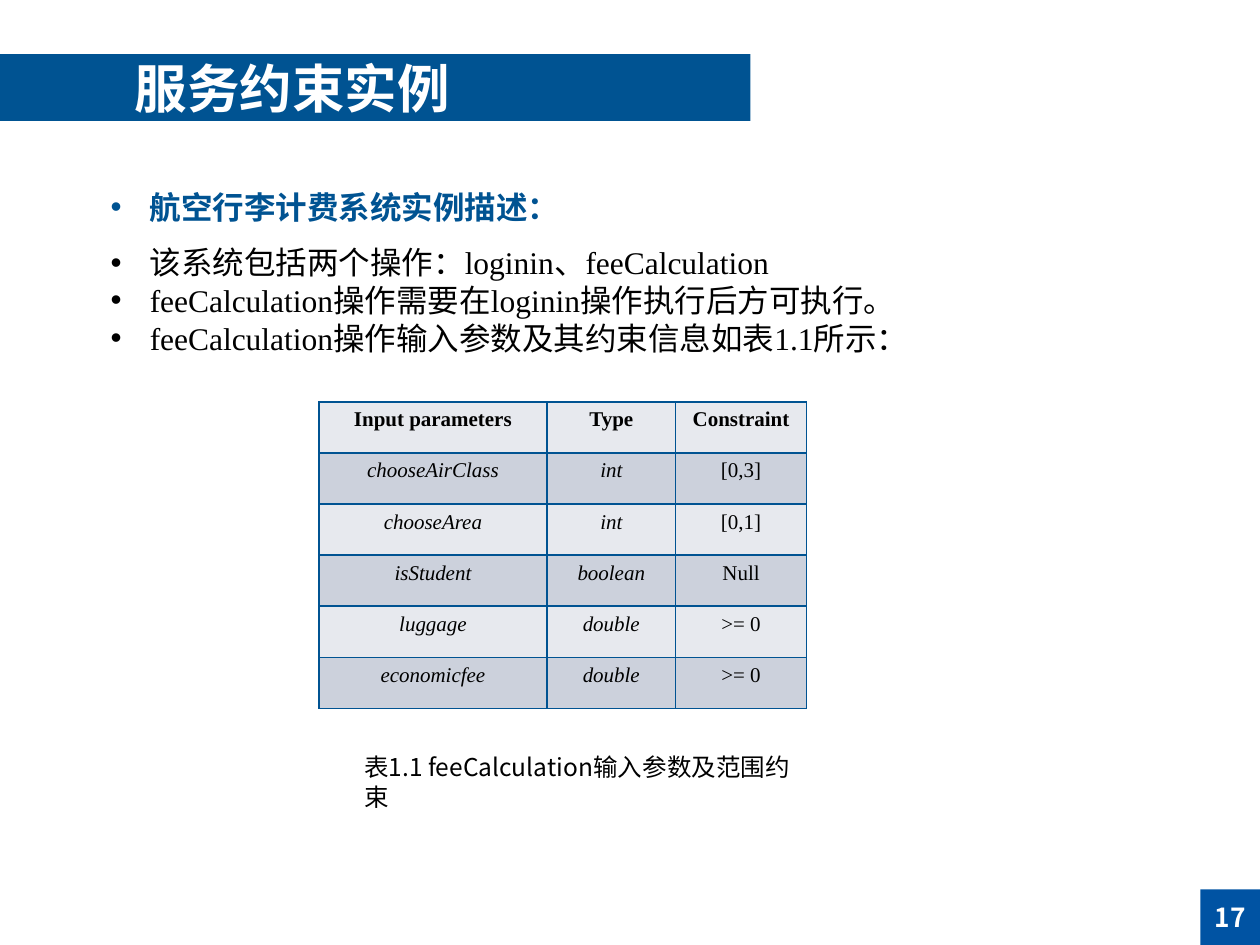
from lxml import etree
from pptx import Presentation
from pptx.dml.color import RGBColor
from pptx.enum.shapes import MSO_SHAPE
from pptx.enum.text import MSO_ANCHOR, PP_ALIGN
from pptx.oxml.ns import qn
from pptx.util import Cm, Pt

SANS, SERIF = "Noto Sans CJK SC", "Times New Roman"
BLUE, BADGE_BLUE, WHITE, BLACK = "005392", "0053A3", "FFFFFF", "000000"
ROW_FILLS = ["E7E9EE", "CCD1DC"]

TITLE = "服务约束实例"
PAGE_NUMBER = "17"
HEADING = "航空行李计费系统实例描述："
BULLETS = [
    [("该系统包括两个操作", SANS), ("：loginin、feeCalculation", SERIF)],
    [("feeCalculation操作需要在loginin操作执行后方可执行。", SERIF)],
    [("feeCalculation操作输入参数及其约束信息如表1.1所示：", SERIF)],
]
PARAMETERS = [
    ("Input parameters", "Type", "Constraint"),
    ("chooseAirClass", "int", "[0,3]"),
    ("chooseArea", "int", "[0,1]"),
    ("isStudent", "boolean", "Null"),
    ("luggage", "double", ">= 0"),
    ("economicfee", "double", ">= 0"),
]
COLUMN_WIDTHS = [4.6, 2.59, 2.64]
ROW_HEIGHT = 1.03
CAPTION = "表1.1 feeCalculation输入参数及范围约束"


def color(value):
    return RGBColor.from_string(value)


def add_run(paragraph, text, size, font=SANS, ink=BLACK, bold=False, italic=False):
    run = paragraph.add_run()
    run.text = text
    run.font.size, run.font.name = Pt(size), font
    run.font.bold, run.font.italic = bold, italic
    run.font.color.rgb = color(ink)
    latin = run.font._element.find(qn("a:latin"))
    east_asian = etree.Element(qn("a:ea"), typeface=SANS)
    latin.addnext(east_asian)


def add_bullet(paragraph):
    properties = paragraph._p.get_or_add_pPr()
    properties.set("marL", str(Cm(0.79)))
    properties.set("indent", str(-Cm(0.79)))
    etree.SubElement(properties, qn("a:buFont"), typeface="Arial")
    etree.SubElement(properties, qn("a:buChar"), char="•")


def add_block(slide, left, top, width, height, fill):
    block = slide.shapes.add_shape(
        MSO_SHAPE.RECTANGLE, Cm(left), Cm(top), Cm(width), Cm(height))
    block.shadow.inherit = False
    block.fill.solid()
    block.fill.fore_color.rgb = color(fill)
    block.line.fill.background()
    block.text_frame.vertical_anchor = MSO_ANCHOR.MIDDLE
    return block.text_frame


def add_text(slide, left, top, width, height, wrap=True):
    frame = slide.shapes.add_textbox(Cm(left), Cm(top), Cm(width), Cm(height)).text_frame
    frame.word_wrap = wrap
    return frame


def add_borders(cell):
    properties = cell._tc.get_or_add_tcPr()
    for index, side in enumerate(("lnL", "lnR", "lnT", "lnB")):
        line = etree.Element(qn(f"a:{side}"), w=str(Pt(1)))
        fill = etree.SubElement(line, qn("a:solidFill"))
        etree.SubElement(fill, qn("a:srgbClr"), val=BLUE)
        properties.insert(index, line)


def add_parameter_table(slide):
    table = slide.shapes.add_table(
        len(PARAMETERS), len(COLUMN_WIDTHS), Cm(6.43), Cm(8.1),
        Cm(sum(COLUMN_WIDTHS)), Cm(ROW_HEIGHT * len(PARAMETERS))).table
    for column, width in zip(table.columns, COLUMN_WIDTHS):
        column.width = Cm(width)
    for r, values in enumerate(PARAMETERS):
        table.rows[r].height = Cm(ROW_HEIGHT)
        for c, value in enumerate(values):
            cell = table.cell(r, c)
            cell.fill.solid()
            cell.fill.fore_color.rgb = color(ROW_FILLS[r % 2])
            add_borders(cell)
            paragraph = cell.text_frame.paragraphs[0]
            paragraph.alignment = PP_ALIGN.CENTER
            add_run(paragraph, value, 12, SERIF, bold=r == 0, italic=r > 0 and c < 2)


prs = Presentation()
prs.slide_width, prs.slide_height = Cm(25.4), Cm(19.05)
slide = prs.slides.add_slide(prs.slide_layouts[6])

title = add_block(slide, 0, 1.09, 15.13, 1.35, BLUE)
title.margin_left = title.margin_right = Cm(0.18)
title.margin_top = title.margin_bottom = Cm(0.1)
title_line = title.paragraphs[0]
title_line.alignment = PP_ALIGN.LEFT
title_line._p.get_or_add_pPr().set("marL", str(Cm(2.54)))
add_run(title_line, TITLE, 30, "Noto Sans CJK JP", WHITE, bold=True)

badge = add_block(slide, 24.2, 17.93, 1.2, 1.12, BADGE_BLUE)
badge.word_wrap = False
badge.paragraphs[0].alignment = PP_ALIGN.CENTER
add_run(badge.paragraphs[0], PAGE_NUMBER, 15, ink=WHITE, bold=True)

heading = add_text(slide, 1.98, 3.66, 9.65, 1.02, wrap=False).paragraphs[0]
add_bullet(heading)
add_run(heading, HEADING, 18, "Arial", BLUE, bold=True)

body = add_text(slide, 1.98, 4.78, 21.29, 2.57)
for index, runs in enumerate(BULLETS):
    paragraph = body.add_paragraph() if index else body.paragraphs[0]
    add_bullet(paragraph)
    for text, font in runs:
        add_run(paragraph, text, 18, font)

add_parameter_table(slide)

caption = add_text(slide, 7.09, 15.04, 9.09, 0.86)
add_run(caption.paragraphs[0], CAPTION, 14)

prs.save("out.pptx")
